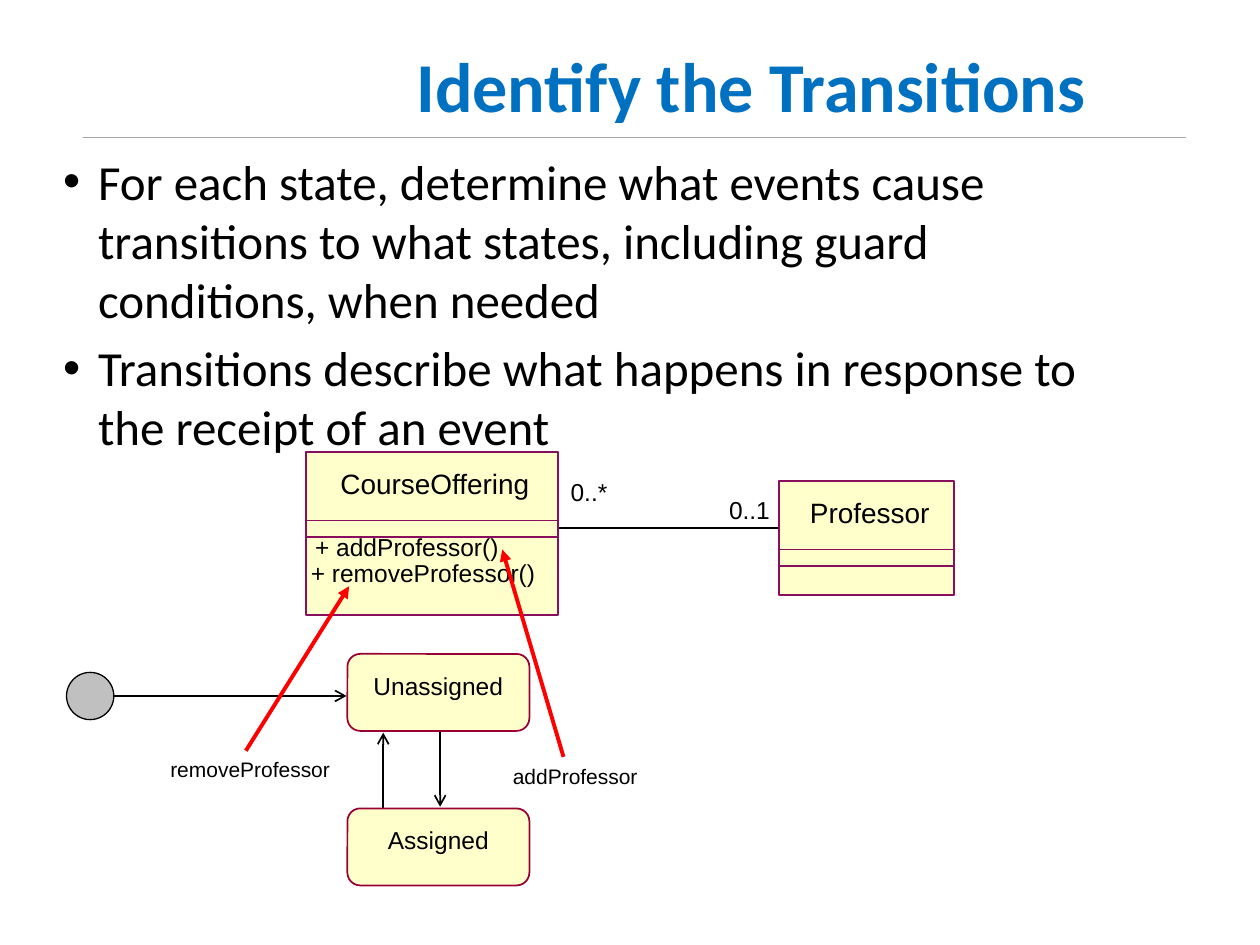
from dataclasses import dataclass

from lxml.etree import SubElement
from pptx import Presentation
from pptx.dml.color import RGBColor
from pptx.enum.shapes import MSO_CONNECTOR, MSO_SHAPE
from pptx.enum.text import PP_ALIGN
from pptx.oxml.ns import qn
from pptx.util import Pt


@dataclass(frozen=True)
class Theme:
    heading_font: str = "Calibri"
    diagram_font: str = "Arial"
    title_size: int = 40
    body_size: int = 28
    class_size: int = 16
    label_size: int = 14
    event_size: int = 12
    title: str = "0070C0"
    ink: str = "000000"
    rule: str = "A6A6A6"
    box_fill: str = "FFFFCC"
    class_line: str = "8A0E5E"
    state_line: str = "990033"
    start_fill: str = "C0C0C0"
    highlight: str = "FF0000"


@dataclass(frozen=True)
class Box:
    left: float
    top: float
    width: float
    height: float

    @property
    def right(self):
        return self.left + self.width

    @property
    def bottom(self):
        return self.top + self.height

    @property
    def middle(self):
        return self.top + self.height / 2

    def lengths(self):
        return [Pt(value) for value in (self.left, self.top, self.width, self.height)]


THEME = Theme()


def add_text_box(page, box, wrap=True):
    frame = page.shapes.add_textbox(*box.lengths()).text_frame
    frame.word_wrap = wrap
    return frame


def add_span(para, text, size, font, color=THEME.ink, bold=False):
    span = para.add_run()
    span.text = text
    span.font.size = Pt(size)
    span.font.name = font
    span.font.bold = bold
    span.font.color.rgb = RGBColor.from_string(color)


def add_label(page, box, text, size=THEME.label_size, align=PP_ALIGN.LEFT, wrap=True):
    para = add_text_box(page, box, wrap).paragraphs[0]
    para.alignment = align
    add_span(para, text, size, THEME.diagram_font)


def add_line(page, start, end, color=THEME.ink, width=1, head=None):
    points = [Pt(value) for value in (*start, *end)]
    line = page.shapes.add_connector(MSO_CONNECTOR.STRAIGHT, *points)
    line.line.color.rgb = RGBColor.from_string(color)
    line.line.width = Pt(width)
    if head:
        SubElement(line.line._get_or_add_ln(), qn("a:tailEnd"), type=head)
    SubElement(line._element.spPr, qn("a:effectLst"))


def add_outline(page, kind, box, fill, color, width=1):
    shape = page.shapes.add_shape(kind, *box.lengths())
    shape.shadow.inherit = False
    shape.fill.solid()
    shape.fill.fore_color.rgb = RGBColor.from_string(fill)
    shape.line.color.rgb = RGBColor.from_string(color)
    shape.line.width = Pt(width)
    return shape


def add_title(page, box, text):
    para = add_text_box(page, box).paragraphs[0]
    add_span(para, text, THEME.title_size, THEME.heading_font, THEME.title, bold=True)
    add_line(page, (47.5, 78.5), (678, 78.5), THEME.rule, 0.75)


def add_bullets(page, box, items):
    frame = add_text_box(page, box)
    for index, item in enumerate(items):
        para = frame.paragraphs[0] if index == 0 else frame.add_paragraph()
        properties = para._p.get_or_add_pPr()
        properties.set("marL", str(Pt(20)))
        properties.set("indent", str(-Pt(20)))
        SubElement(properties, qn("a:buFont"), typeface="Arial")
        SubElement(properties, qn("a:buChar"), char="•")
        if index:
            para.space_before = Pt(0.2 * THEME.body_size)
        add_span(para, item, THEME.body_size, THEME.heading_font)


def add_class(page, box, name, name_box):
    add_outline(page, MSO_SHAPE.RECTANGLE, box, THEME.box_fill, THEME.class_line)
    for offset in (39, 48.5):
        height = box.top + offset
        add_line(page, (box.left + 0.5, height), (box.right + 0.5, height), THEME.class_line)
    add_label(page, name_box, name, THEME.class_size, PP_ALIGN.CENTER)


def add_state(page, box, name):
    add_outline(page, MSO_SHAPE.ROUNDED_RECTANGLE, box, THEME.box_fill, THEME.state_line)
    name_box = Box(box.left - 6, box.top + 6, box.width + 12, 24)
    add_label(page, name_box, name, align=PP_ALIGN.CENTER)


def add_class_diagram(page, box):
    offering = Box(box.left, box.top, 144, 93)
    professor = Box(box.right - 100, box.top + 16.5, 100, 65)
    # Association with its multiplicities
    link = box.top + 43.3
    add_line(page, (offering.right, link), (professor.left, link))
    add_class(page, offering, "CourseOffering",
              Box(offering.left - 8.5, offering.top + 4.5, 164, 27))
    add_class(page, professor, "Professor",
              Box(professor.left + 5, professor.top + 4.5, 94, 27))
    add_label(page, Box(offering.right, link - 32.5, 36, 24), "0..*", wrap=False)
    add_label(page, Box(professor.left - 35.5, link - 22.5, 38, 24), "0..1", wrap=False)
    # Operations
    add_label(page, Box(offering.left - 2, offering.top + 42, 133, 24), "+ addProfessor()")
    add_label(page, Box(offering.left - 4.5, offering.top + 57, 159, 24), "+ removeProfessor()")


def add_state_diagram(page, box):
    start = Box(box.left, box.top + 10.5, 27, 27)
    unassigned = Box(box.right - 104, box.top, 104, 44)
    assigned = Box(unassigned.left, box.bottom - 44, 104, 44)
    # Transitions
    add_line(page, (start.right, start.middle), (unassigned.left - 0.5, start.middle), head="arrow")
    down, up = unassigned.left + 53, unassigned.left + 20.5
    add_line(page, (down, unassigned.bottom), (down, assigned.top - 1), head="arrow")
    add_line(page, (up, assigned.top), (up, unassigned.bottom + 1), head="arrow")
    # States
    add_outline(page, MSO_SHAPE.OVAL, start, THEME.start_fill, THEME.ink, 0.75)
    add_state(page, unassigned, "Unassigned")
    add_state(page, assigned, "Assigned")


def add_event(page, box, name, start, end):
    add_label(page, box, name, THEME.event_size, PP_ALIGN.CENTER)
    add_line(page, start, end, THEME.highlight, 2.25, "triangle")


def main():
    deck = Presentation()
    deck.slide_width, deck.slide_height = Pt(720), Pt(540)
    page = deck.slides.add_slide(deck.slide_layouts[6])

    add_title(page, Box(231, 21, 443, 55.5), "Identify the Transitions")
    add_bullets(page, Box(29, 83, 632, 397), [
        "For each state, determine what events cause transitions to what states, "
        "including guard conditions, when needed",
        "Transitions describe what happens in response to the receipt of an event",
    ])
    add_class_diagram(page, Box(175, 258.5, 370, 93))
    add_state_diagram(page, Box(38, 373.7, 264.5, 132.3))

    # Events traced to the operations that cause them
    add_event(page, Box(88, 429, 110, 22), "removeProfessor", (140.5, 429), (199.5, 335))
    add_event(page, Box(284.5, 432.5, 88.5, 22), "addProfessor", (322, 432.5), (287, 314))

    deck.save("out.pptx")


if __name__ == "__main__":
    main()
